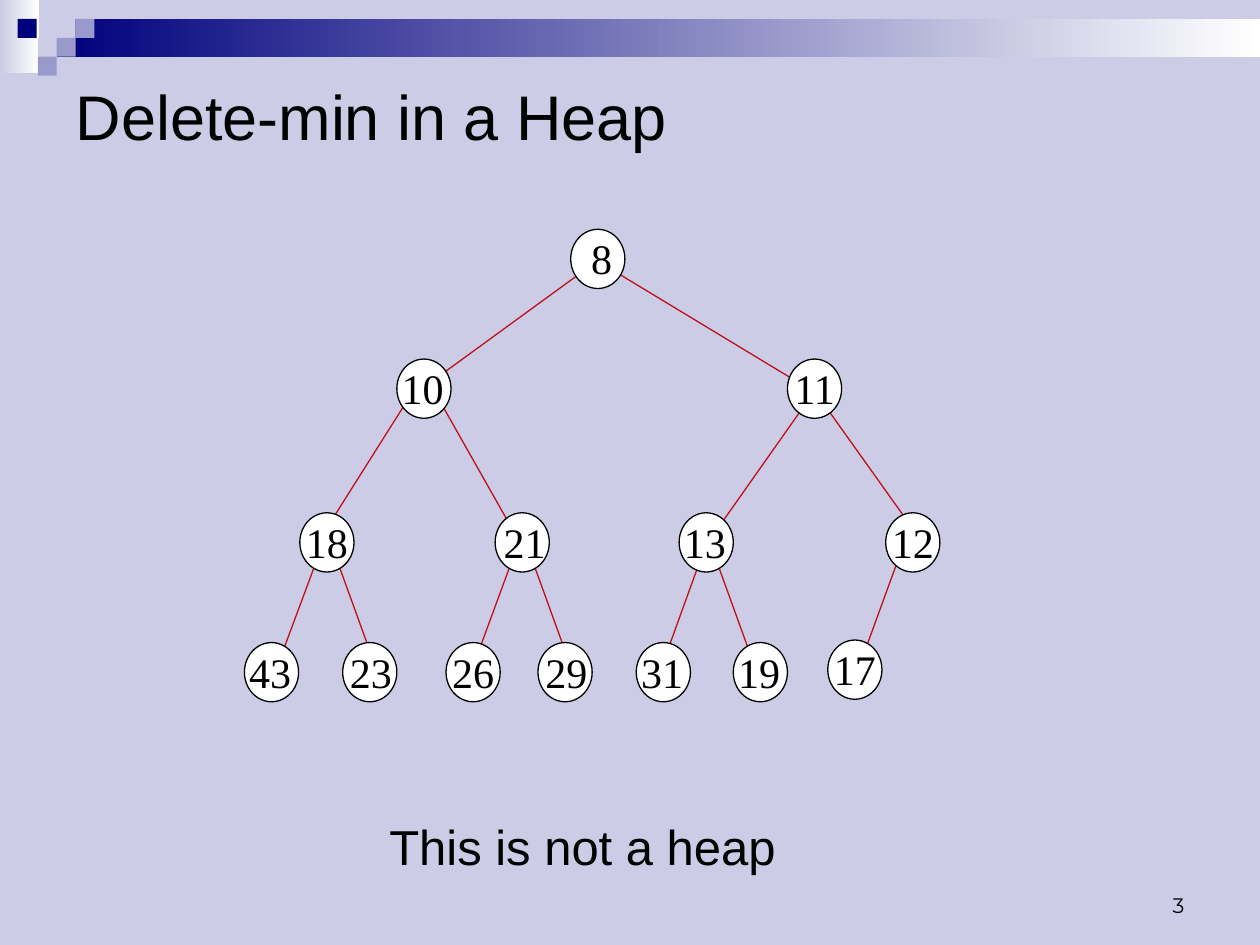
from lxml.etree import SubElement
from pptx import Presentation
from pptx.dml.color import RGBColor
from pptx.enum.shapes import MSO_CONNECTOR, MSO_SHAPE
from pptx.enum.text import MSO_ANCHOR, MSO_AUTO_SIZE, PP_ALIGN
from pptx.oxml.ns import qn
from pptx.util import Inches, Pt

COLUMNS, ROWS = 100, 75  # square grid, ten cells to the inch
BLACK, WHITE, RED = "000000", "FFFFFF", "BF0F18"
PALE, LILAC, NAVY = "CCCCE6", "9999CC", "00007D"
NODE_WIDTH, NODE_HEIGHT, NUDGE = 4.3, 4.7, 0.45

# Heap in array order: the parent of node i is node (i - 1) // 2.
# Each node: label, centre column, centre row, label shift, and the edge's
# start and end nudges (dx, dy) from the centres of parent and child.
HEAP = [
    ("8", 47.45, 20.55, 0.3, None),
    ("10", 33.65, 30.85, -0.1, (-1, 1, 1, -1)),
    ("11", 64.65, 30.85, 0, (1, 1, -2.7, -1)),
    ("18", 25.95, 43.05, 0, (-1, -1, -1, -1)),
    ("21", 41.45, 43.05, 0.2, (1, -1, -1, -1)),
    ("13", 56.05, 43.05, -0.1, (1, -1, 1, -1)),
    ("12", 72.45, 43.05, 0, (-1, -1, 1, -1)),
    ("43", 21.55, 53.35, -0.1, (-1, 1, 1, -1)),
    ("23", 29.35, 53.35, 0.1, (1, 1, 1, -1)),
    ("26", 37.55, 53.35, 0, (-1, 1, 0, -1)),
    ("29", 44.85, 53.35, 0.1, (1, 1, 1, -1)),
    ("31", 52.65, 53.35, -0.1, (-1, 3, -1, 1)),
    ("19", 60.35, 53.35, -0.1, (1, 1, -1, -1)),
    ("17", 67.85, 53.15, 0, (-1.7, 0.6, 1, -1.2)),
]


def colour(value):
    return RGBColor.from_string(value)


def write(shape, text, size, font="Arial", align=PP_ALIGN.LEFT,
          anchor=MSO_ANCHOR.TOP, wrap=True):
    frame = shape.text_frame
    frame.auto_size = MSO_AUTO_SIZE.NONE
    frame.word_wrap = wrap
    frame.vertical_anchor = anchor
    para = frame.paragraphs[0]
    para.alignment = align
    span = para.add_run()
    span.text = text
    span.font.size = Pt(size)
    span.font.name = font
    span.font.color.rgb = colour(BLACK)
    return para


class HeapSlide:
    def __init__(self, deck):
        self.cell = deck.slide_width / COLUMNS
        self.page = deck.slides.add_slide(deck.slide_layouts[1])
        fill = self.page.background.fill
        fill.solid()
        fill.fore_color.rgb = colour(PALE)

    def grid(self, *lengths):
        return [round(length * self.cell) for length in lengths]

    def placeholder(self, index, area, text, size, **style):
        box = self.page.placeholders[index]
        box.left, box.top, box.width, box.height = self.grid(*area)
        return write(box, text, size, **style)

    def shape(self, kind, area, fill, line=None):
        shape = self.page.shapes.add_shape(kind, *self.grid(*area))
        shape.shadow.inherit = False
        if isinstance(fill, tuple):
            shape.fill.gradient()
            shape.fill.gradient_angle = 180
            for stop, shade in zip(shape.fill.gradient_stops, fill):
                stop.color.rgb = colour(shade)
        else:
            shape.fill.solid()
            shape.fill.fore_color.rgb = colour(fill)
        if line:
            shape.line.color.rgb = colour(line)
            shape.line.width = Pt(0.75)
        else:
            shape.line.fill.background()

    def edge(self, parent, child, nudges):
        ends = [place + NUDGE * nudge
                for place, nudge in zip(parent + child, nudges)]
        line = self.page.shapes.add_connector(
            MSO_CONNECTOR.STRAIGHT, *self.grid(*ends))
        line.line.color.rgb = colour(RED)
        line.line.width = Pt(0.75)
        SubElement(line._element.spPr, qn("a:effectLst"))

    def text(self, area, text, size, **style):
        box = self.page.shapes.add_textbox(*self.grid(*area))
        write(box, text, size, **style)

    def node(self, label, x, y, shift):
        self.shape(MSO_SHAPE.OVAL,
                   (x - NODE_WIDTH / 2, y - NODE_HEIGHT / 2,
                    NODE_WIDTH, NODE_HEIGHT), WHITE, BLACK)
        self.text((x - 2.65 + shift, y - 2.55, 5.3, 5), label, 24,
                  font="Times New Roman", align=PP_ALIGN.CENTER, wrap=False)


def main():
    deck = Presentation()
    deck.slide_width, deck.slide_height = Inches(10), Inches(7.5)
    slide = HeapSlide(deck)

    # Header bands and checkered squares
    slide.shape(MSO_SHAPE.RECTANGLE, (0, 0, 3.1, 5.8), (WHITE, PALE))
    slide.shape(MSO_SHAPE.RECTANGLE, (4.5, 1.5, 95.5, 3), (WHITE, NAVY))
    for left, top, fill in [(4.5, 1.5, PALE), (6, 0, PALE), (6, 1.5, LILAC),
                            (3, 3, PALE), (1.4, 1.5, NAVY),
                            (4.5, 3, LILAC), (3, 4.5, LILAC)]:
        slide.shape(MSO_SHAPE.RECTANGLE, (left, top, 1.5, 1.5), fill)

    # Title and remark
    slide.placeholder(0, (5, 5, 90, 8.3), "Delete-min in a Heap", 36,
                      anchor=MSO_ANCHOR.MIDDLE)
    remark = slide.placeholder(1, (29.9, 64.8, 35.6, 5.6),
                               "This is not a heap", 28)
    remark.line_spacing = 0.9
    remark.space_before = Pt(7)
    properties = remark._p.get_or_add_pPr()
    properties.set("marL", str(Inches(0.38)))
    properties.set("indent", str(-Inches(0.38)))
    SubElement(properties, qn("a:buNone"))

    # Tree: edges behind nodes
    centres = [(x, y) for _, x, y, _, _ in HEAP]
    for index, (*_, nudges) in enumerate(HEAP):
        if nudges:
            slide.edge(centres[(index - 1) // 2], centres[index], nudges)
    for label, x, y, shift, _ in HEAP:
        slide.node(label, x, y, shift)

    # Page number
    slide.text((71.7, 68.3, 23.3, 5), "3", 12, font="Montserrat",
               align=PP_ALIGN.RIGHT, anchor=MSO_ANCHOR.BOTTOM)

    deck.save("out.pptx")


if __name__ == "__main__":
    main()
